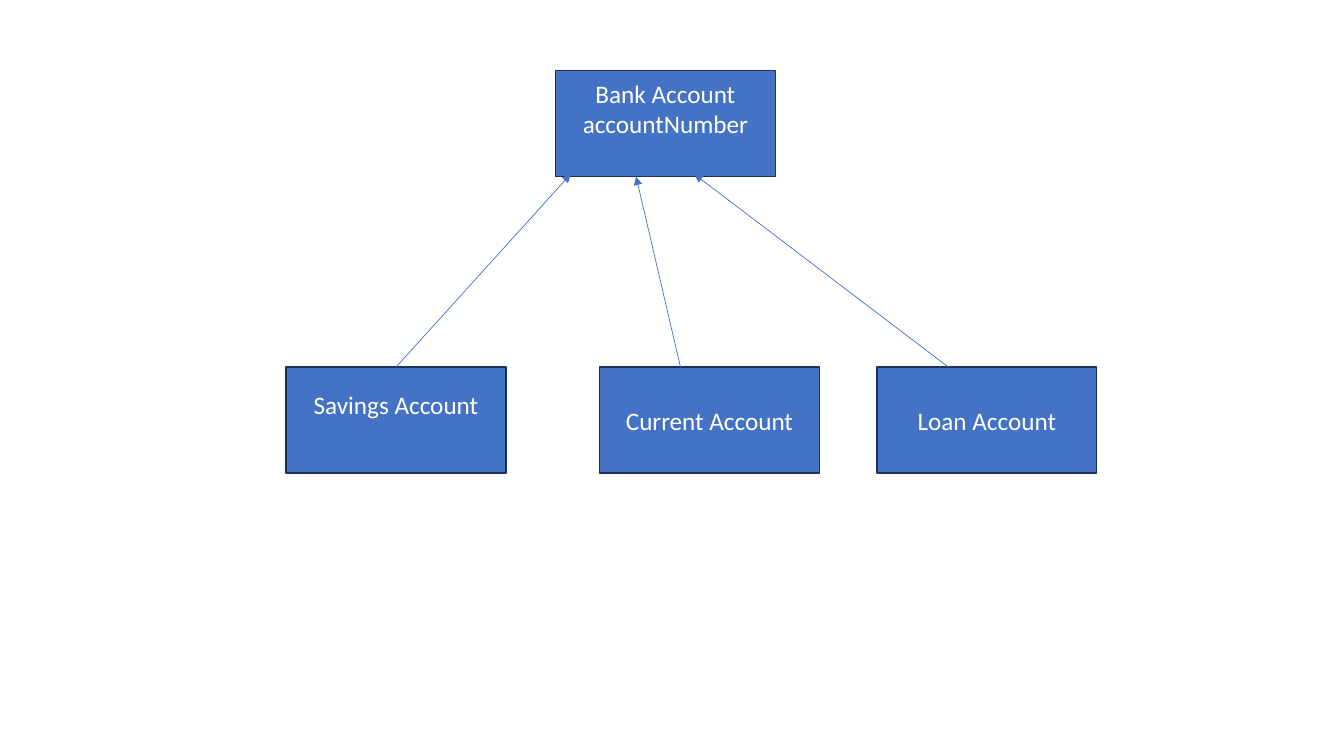
"""Class diagram: three account types inherit from Bank Account."""
from lxml import etree
from pptx import Presentation
from pptx import util as u
from pptx.dml.color import RGBColor
from pptx.enum import shapes, text
from pptx.oxml.ns import qn

COLORS = {"box": "4472C4", "edge": "1E3256", "text": "FFFFFF"}
BOX_W, BOX_H = 5.54, 2.67
PARENT_TOP, CHILD_TOP = 1.78, 9.25

prs = Presentation()
prs.slide_width, prs.slide_height = u.Cm(33.87), u.Cm(19.05)
s = prs.slides.add_slide(prs.slide_layouts[6])


def add_box(lines, left, top, bottom_inset=0.13, size=18, font="Calibri"):
    sp = s.shapes.add_shape(shapes.MSO_SHAPE.RECTANGLE, u.Cm(left), u.Cm(top),
                            u.Cm(BOX_W), u.Cm(BOX_H))
    sp.shadow.inherit = False
    sp.fill.solid()
    sp.fill.fore_color.rgb = RGBColor.from_string(COLORS["box"])
    sp.line.color.rgb = RGBColor.from_string(COLORS["edge"])
    sp.line.width = u.Pt(1)
    tf = sp.text_frame
    tf.word_wrap = True
    tf.vertical_anchor = text.MSO_ANCHOR.MIDDLE
    tf.margin_bottom = u.Cm(bottom_inset)
    for i, line in enumerate(lines):
        p = tf.add_paragraph() if i else tf.paragraphs[0]
        p.alignment = text.PP_ALIGN.CENTER
        r = p.add_run()
        r.text = line
        r.font.size, r.font.name = u.Pt(size), font
        r.font.color.rgb = RGBColor.from_string(COLORS["text"])
    return sp


def add_arrow(x1, y1, x2, y2):
    c = s.shapes.add_connector(shapes.MSO_CONNECTOR.STRAIGHT,
                               u.Cm(x1), u.Cm(y1), u.Cm(x2), u.Cm(y2))
    c.line.color.rgb = RGBColor.from_string(COLORS["box"])
    c.line.width = u.Pt(0.5)
    etree.SubElement(c.line._get_or_add_ln(), qn("a:tailEnd"), type="triangle")
    etree.SubElement(c._element.spPr, qn("a:effectLst"))
    return c


savings = add_box(["Savings Account"], 7.21, CHILD_TOP, bottom_inset=0.89)
add_box(["Current Account"], 15.11, CHILD_TOP)
add_box(["Loan Account"], 22.1, CHILD_TOP)
add_box(["Bank Account", "accountNumber"], 14, PARENT_TOP, bottom_inset=0.89)

savings_arrow = add_arrow(9.98, CHILD_TOP, 14.38, 4.39)
savings_arrow.begin_connect(savings, 0)
for start_x, end_x, end_y in [(17.15, 16.03, 4.45), (23.9, 17.5, 4.39)]:
    add_arrow(start_x, CHILD_TOP, end_x, end_y)

prs.save("out.pptx")
